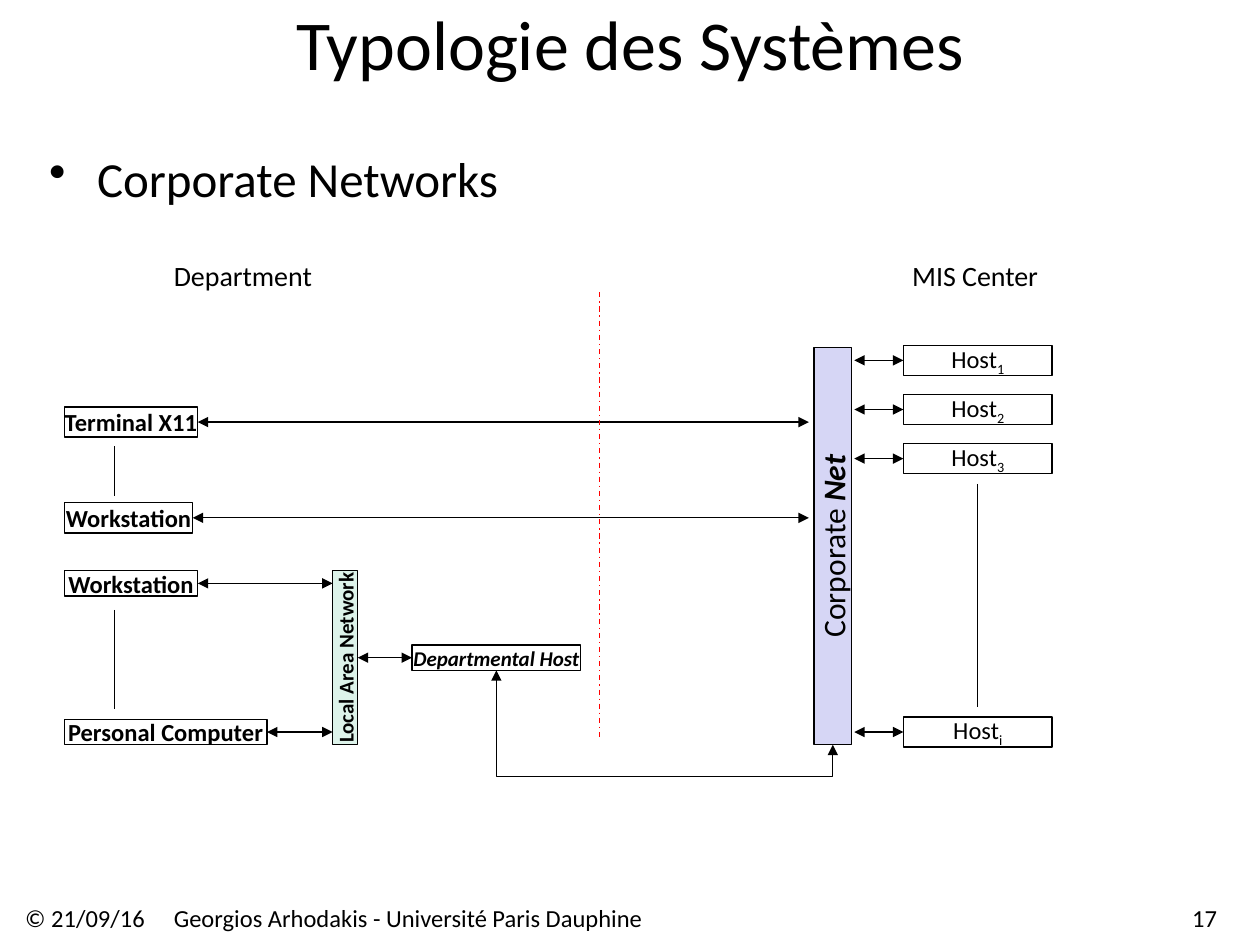
import pptx
import pptx.util
import pptx.dml.color
import pptx.enum.dml
import pptx.enum.shapes
import pptx.enum.text
import pptx.oxml.ns
import pptx.oxml.xmlchemy

Inches = pptx.util.Inches
Pt = pptx.util.Pt
RGBColor = pptx.dml.color.RGBColor
Align = pptx.enum.text.PP_ALIGN
Anchor = pptx.enum.text.MSO_ANCHOR
Link = pptx.enum.shapes.MSO_CONNECTOR
Element = pptx.oxml.xmlchemy.OxmlElement
qn = pptx.oxml.ns.qn

BLACK = RGBColor(0x00, 0x00, 0x00)
WHITE = RGBColor(0xFF, 0xFF, 0xFF)
RED = RGBColor(0xFF, 0x00, 0x00)
LILAC = RGBColor(0xD6, 0xD6, 0xF5)
MINT = RGBColor(0xDD, 0xF3, 0xEA)

deck = pptx.Presentation()
deck.slide_width, deck.slide_height = Inches(10), Inches(7.5)
slide = deck.slides.add_slide(deck.slide_layouts[6])


def add_text(place, runs, size, fill=None, align=Align.CENTER, turn=False):
    """Add a text box, or a bordered box when fill is given.

    Each run is (text, style); style holds b, i or s for bold, italic, subscript.
    """
    spot = [Inches(v) for v in place]
    if fill is None:
        shape = slide.shapes.add_textbox(*spot)
    else:
        shape = slide.shapes.add_shape(pptx.enum.shapes.MSO_SHAPE.RECTANGLE, *spot)
        shape.shadow.inherit = False
        shape.fill.solid()
        shape.fill.fore_color.rgb = fill
        shape.line.color.rgb = BLACK
        shape.line.width = Pt(0.75)
    frame = shape.text_frame
    frame.word_wrap = False
    frame.vertical_anchor = Anchor.MIDDLE
    frame.margin_left = frame.margin_right = 0
    frame.margin_top = frame.margin_bottom = 0
    if turn:
        frame._txBody.bodyPr.set("vert", "vert270")
    para = frame.paragraphs[0]
    para.alignment = align
    for text, style in runs:
        run = para.add_run()
        run.text = text
        font = run.font
        font.name, font.size = "Calibri", Pt(size)
        font.color.rgb = BLACK
        font.bold, font.italic = "b" in style, "i" in style
        if "s" in style:
            run._r.get_or_add_rPr().set("baseline", "-25000")
    return para


def add_line(x1, y1, x2, y2, heads=True, color=BLACK, kind=Link.STRAIGHT):
    line = slide.shapes.add_connector(kind, *[Inches(v) for v in (x1, y1, x2, y2)])
    line.line.color.rgb = color
    line.line.width = Pt(0.75)
    if heads:
        for tag in ("a:headEnd", "a:tailEnd"):
            end = Element(tag)
            end.set("type", "triangle")
            line.line._get_or_add_ln().append(end)
    line._element.spPr.append(Element("a:effectLst"))
    return line


# Title, bullet, headings and footer
add_text((0, 0, 10, 0.67), [("Typologie des Systèmes", "")], 40)
point = add_text((0.39, 1.18, 3.62, 0.47), [("Corporate Networks", "")], 28,
                 align=Align.LEFT)
props = point._p.get_or_add_pPr()
props.set("marL", str(Inches(0.38)))
props.set("indent", str(Inches(-0.38)))
bullet = Element("a:buChar")
bullet.set("char", "•")
props.append(bullet)

for left, wide, text in ((1.38, 1.1, "Department"), (7.24, 1.06, "MIS Center")):
    add_text((left, 2.05, wide, 0.27), [(text, "")], 16, align=Align.LEFT)

for left, wide, text, align in (
    (0.2, 1.08, "© 21/09/16", Align.LEFT),
    (1.38, 3.76, "Georgios Arhodakis - Université Paris Dauphine", Align.LEFT),
    (9.46, 0.2, "17", Align.RIGHT),
):
    add_text((left, 7.16, wide, 0.24), [(text, "")], 14, align=align)

# Department stations, each with an arrow to its network
for top, wide, high, text, stop in (
    (3.23, 1.06, 0.24, "Terminal X11", 6.42),
    (3.99, 1.02, 0.24, "Workstation", 6.42),
    (4.53, 1.06, 0.2, "Workstation", 2.64),
    (5.71, 1.61, 0.2, "Personal Computer", 2.64),
):
    add_text((0.51, top, wide, high), [(text, "b")], 14, WHITE)
    mid = top + high / 2
    add_line(0.51 + wide, mid, stop, mid)

# Networks and departmental host
add_text((6.46, 2.76, 0.3, 3.15), [("Corporate ", ""), ("Net", "bi")], 18,
         LILAC, turn=True)
add_text((2.64, 4.53, 0.2, 1.38), [("Local Area Network", "b")], 12,
         MINT, turn=True)
add_text((3.27, 5.12, 1.34, 0.2), [("Departmental Host", "bi")], 12, WHITE)
add_line(2.84, 5.22, 3.27, 5.22)

# Hosts of the MIS center
for top, mark in ((2.74, "1"), (3.13, "2"), (3.52, "3"), (5.69, "i")):
    add_text((7.17, top, 1.18, 0.24), [("Host", ""), (mark, "s")], 14, WHITE)
    add_line(6.78, top + 0.12, 7.17, top + 0.12)

# Plain lines for the items left out between boxes
for x, top, base in ((0.91, 3.54, 3.94), (0.91, 4.84, 5.63), (7.76, 3.84, 5.61)):
    add_line(x, top, x, base, heads=False)

border = add_line(4.76, 2.32, 4.76, 5.87, heads=False, color=RED)
border.line.dash_style = pptx.enum.dml.MSO_LINE.DASH_DOT

# Elbow turned by 270 degrees, running below the host and the network
elbow = add_line(5.57, 4.28, 4.98, 6.95, kind=Link.ELBOW)
elbow._element.spPr.find(qn("a:xfrm")).set("rot", str(270 * 60000))
bend = Element("a:gd")
bend.set("name", "adj1")
bend.set("fmla", "val 142500")
elbow._element.spPr.find(qn("a:prstGeom")).get_or_add_avLst().append(bend)

deck.save("out.pptx")
